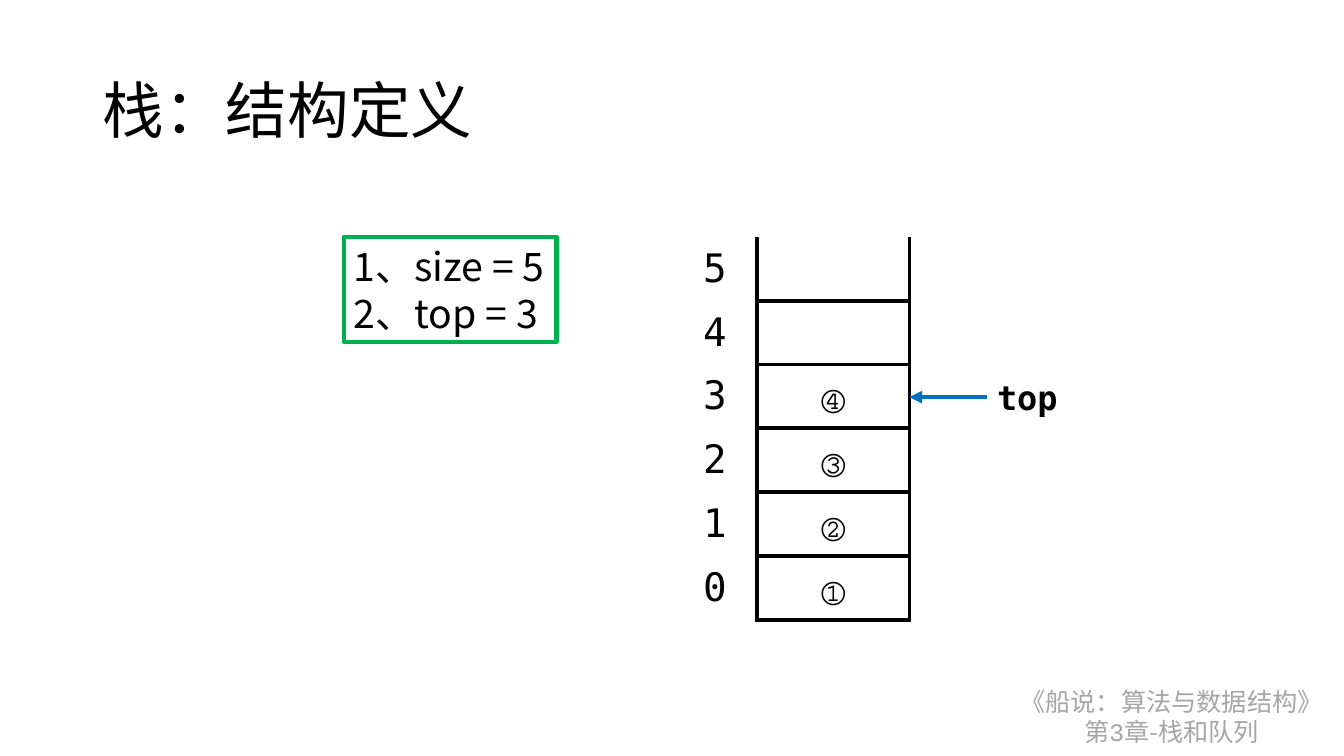
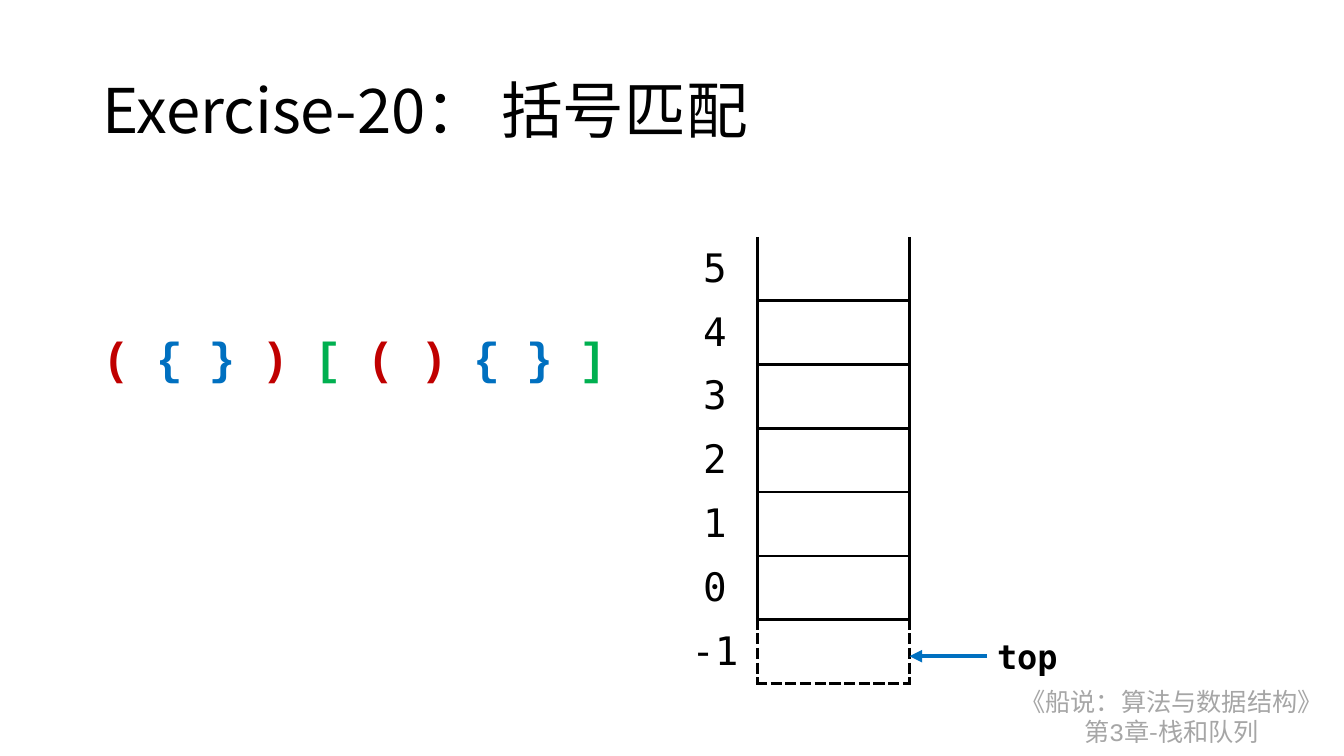
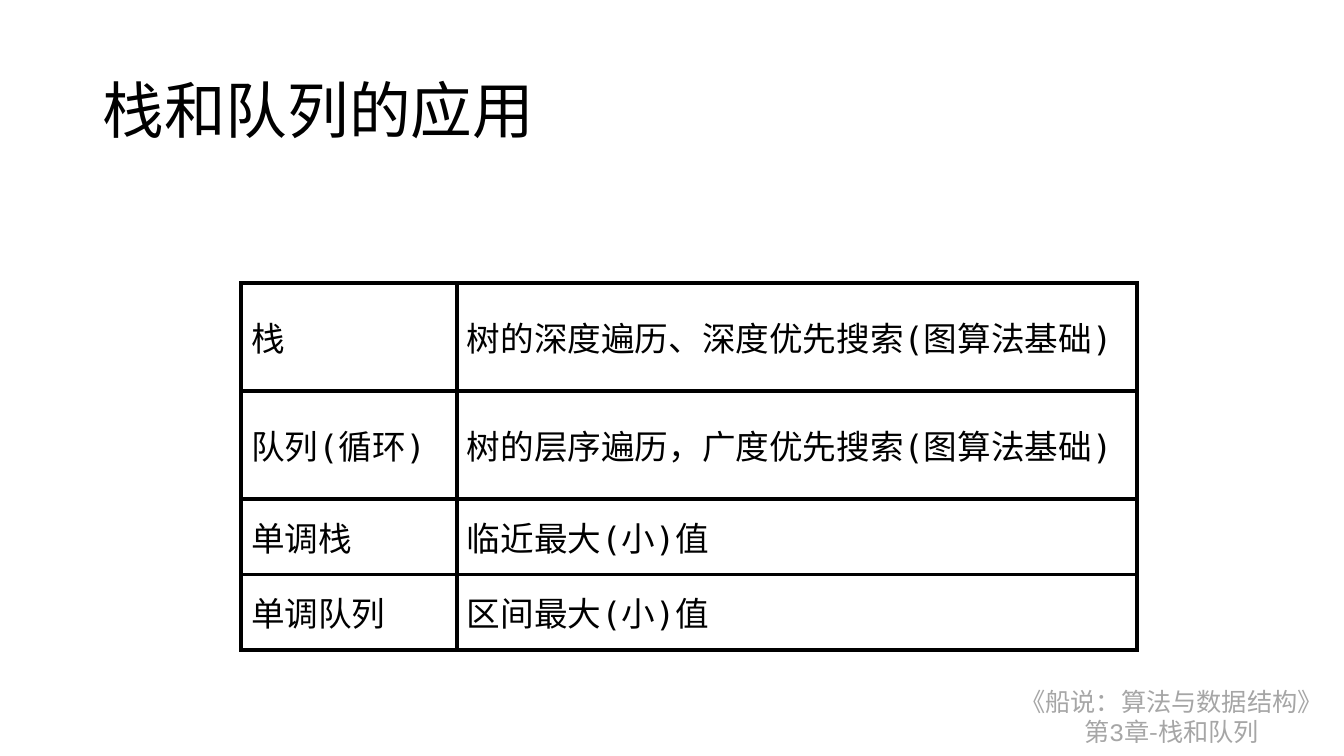
from itertools import groupby

from lxml.etree import SubElement
from pptx import Presentation
from pptx.dml.color import RGBColor
from pptx.enum.shapes import MSO_CONNECTOR, MSO_SHAPE
from pptx.enum.text import MSO_ANCHOR, PP_ALIGN
from pptx.oxml.ns import qn
from pptx.util import Inches, Pt

SANS, MONO, CODE = "Noto Sans CJK SC", "DejaVu Sans Mono", "Courier New"
BLACK, WHITE, GREY = "000000", "FFFFFF", "A6A6A6"
RED, BLUE, GREEN = "C00000", "0070C0", "00B050"
ROW = 3.8 / 6


def color(code):
    """Turn a hex string into a colour."""
    return RGBColor.from_string(code)


def write(frame, *lines, size=24, font=SANS, fill=BLACK, bold=False,
          align=PP_ALIGN.LEFT, space=None, marks="", other=MONO):
    """Write lines into a text frame; characters in marks take the other font."""
    for num, line in enumerate(lines):
        para = frame.paragraphs[0] if num == 0 else frame.add_paragraph()
        para.alignment = align
        para.line_spacing = space
        for mark, part in groupby(line, lambda char: char in marks):
            run = para.add_run()
            run.text = "".join(part)
            run.font.size = Pt(size)
            run.font.bold = bold
            run.font.color.rgb = color(fill)
            run.font.name = other if mark else font
            east = SubElement(run._r.get_or_add_rPr(), qn("a:ea"))
            east.set("typeface", run.font.name)


def label(slide, box, *lines, wrap=False, anchor=MSO_ANCHOR.TOP, **style):
    """Add a text box and return it."""
    shape = slide.shapes.add_textbox(*map(Inches, box))
    shape.text_frame.word_wrap = wrap
    shape.text_frame.vertical_anchor = anchor
    write(shape.text_frame, *lines, **style)
    return shape


def edge(cell, sides, fill=BLACK, width=3, dash=""):
    """Draw the listed borders of a cell, dashed where asked; hide the others."""
    props = cell._tc.get_or_add_tcPr()
    for side in "LRTB":
        line = SubElement(props, qn("a:ln" + side))
        if side not in sides:
            SubElement(line, qn("a:noFill"))
            continue
        line.set("w", str(Pt(width)))
        paint = SubElement(line, qn("a:solidFill"))
        SubElement(paint, qn("a:srgbClr")).set("val", fill)
        if side in dash:
            SubElement(line, qn("a:prstDash")).set("val", "sysDash")


def grid(slide, left, top, rows, cols):
    """Add a plain table with the given row heights and column widths."""
    box = (left, top, sum(cols), sum(rows))
    table = slide.shapes.add_table(len(rows), len(cols), *map(Inches, box)).table
    table.first_row = table.horz_banding = False
    for row, height in zip(table.rows, rows):
        row.height = Inches(height)
    for col, width in zip(table.columns, cols):
        col.width = Inches(width)
    return table


def put(cell, line, sides="LRTB", edges=BLACK, width=3, dash="", **style):
    """Set the borders, fill and text of one cell."""
    edge(cell, sides, edges, width, dash)
    cell.fill.background()
    cell.vertical_anchor = MSO_ANCHOR.MIDDLE
    if line:
        write(cell.text_frame, line, **style)


def stack(slide, left, top, names, items, width):
    """Draw the stack, open at the top and dashed at index -1."""
    table = grid(slide, left, top, [ROW] * len(names), (0.84, 1.51))
    style = dict(width=width, size=28, font=MONO, align=PP_ALIGN.CENTER)
    for row, name in enumerate(names):
        dash = "LRB" if name == "-1" else ""
        put(table.cell(row, 0), name, "R", dash=dash, **style)
        put(table.cell(row, 1), items.get(name), "LRTB" if row else "LRB",
            dash=dash, bold=True, **style)


def pointer(slide, left, mid):
    """Draw the top label and its arrow to the stack."""
    name = label(slide, (left + 0.77, mid - 0.25, 0.81, 0.5), "top",
                 font=MONO, bold=True)
    line = slide.shapes.add_connector(
        MSO_CONNECTOR.STRAIGHT, Inches(left + 0.77), Inches(mid), Inches(left), Inches(mid))
    line.begin_connect(name, 1)
    line.line.color.rgb = color(BLUE)
    line.line.width = Pt(3)
    SubElement(line.line._get_or_add_ln(), qn("a:tailEnd")).set("type", "triangle")
    SubElement(line._element.spPr, qn("a:effectLst"))


def state(slide, box, *lines):
    """Draw the outlined box with the fields of the stack."""
    shape = slide.shapes.add_shape(MSO_SHAPE.RECTANGLE, *map(Inches, box))
    shape.shadow.inherit = False
    shape.fill.background()
    shape.line.color.rgb = color(GREEN)
    shape.line.width = Pt(3)
    shape.text_frame.word_wrap = True
    shape.text_frame.vertical_anchor = MSO_ANCHOR.TOP
    write(shape.text_frame, *lines, size=28)


def braces(slide, left, top, chars):
    """Draw a row of coloured brackets."""
    tints = dict(zip("(){}[]", (RED, RED, BLUE, BLUE, GREEN, GREEN)))
    table = grid(slide, left, top, [0.75], [5.25 / len(chars)] * len(chars))
    for cell, char in zip(table.iter_cells(), chars):
        put(cell, char, edges=WHITE, width=1, size=32, font=CODE,
            fill=tints[char], bold=True)


def uses(slide, left, top, pairs):
    """Draw the table of structures and uses, given as height, name and use."""
    table = grid(slide, left, top, [pair[0] for pair in pairs], (2.14, 6.75))
    for row, pair in enumerate(pairs):
        for col, line in enumerate(pair[1:]):
            put(table.cell(row, col), line, marks="()")


def page(deck, title):
    """Add a slide with the shared title and footer."""
    slide = deck.slides.add_slide(deck.slide_layouts[6])
    label(slide, (9.97, 6.76, 3.3, 0.71), "《船说：算法与数据结构》", "第3章-栈和队列",
          size=18, fill=GREY, align=PP_ALIGN.CENTER, marks="3", other=CODE)
    label(slide, (0.92, 0.4, 11.5, 1.45), title, wrap=True,
          anchor=MSO_ANCHOR.MIDDLE, size=44, space=0.9)
    return slide


def main():
    """Build the three slides."""
    deck = Presentation()
    deck.slide_width, deck.slide_height = Inches(13.33), Inches(7.5)
    names = list("543210")

    slide = page(deck, "栈：结构定义")
    state(slide, (3.41, 2.35, 2.11, 1.04), "1、size = 5", "2、top = 3")
    stack(slide, 6.67, 2.35, names, dict(zip("3210", "④③②①")), 3)
    pointer(slide, 9.02, 3.94)

    slide = page(deck, "Exercise-20： 括号匹配")
    stack(slide, 6.67, 2.35, names + ["-1"], {}, 2.25)
    pointer(slide, 9.02, 6.51)
    braces(slide, 0.92, 3.22, "({})[(){}]")

    slide = page(deck, "栈和队列的应用")
    uses(slide, 2.39, 2.81, (
        (1.07, "栈", "树的深度遍历、深度优先搜索(图算法基础)"),
        (1.07, "队列(循环)", "树的层序遍历，广度优先搜索(图算法基础)"),
        (0.75, "单调栈", "临近最大(小)值"),
        (0.75, "单调队列", "区间最大(小)值"),
    ))
    deck.save("out.pptx")


if __name__ == "__main__":
    main()
